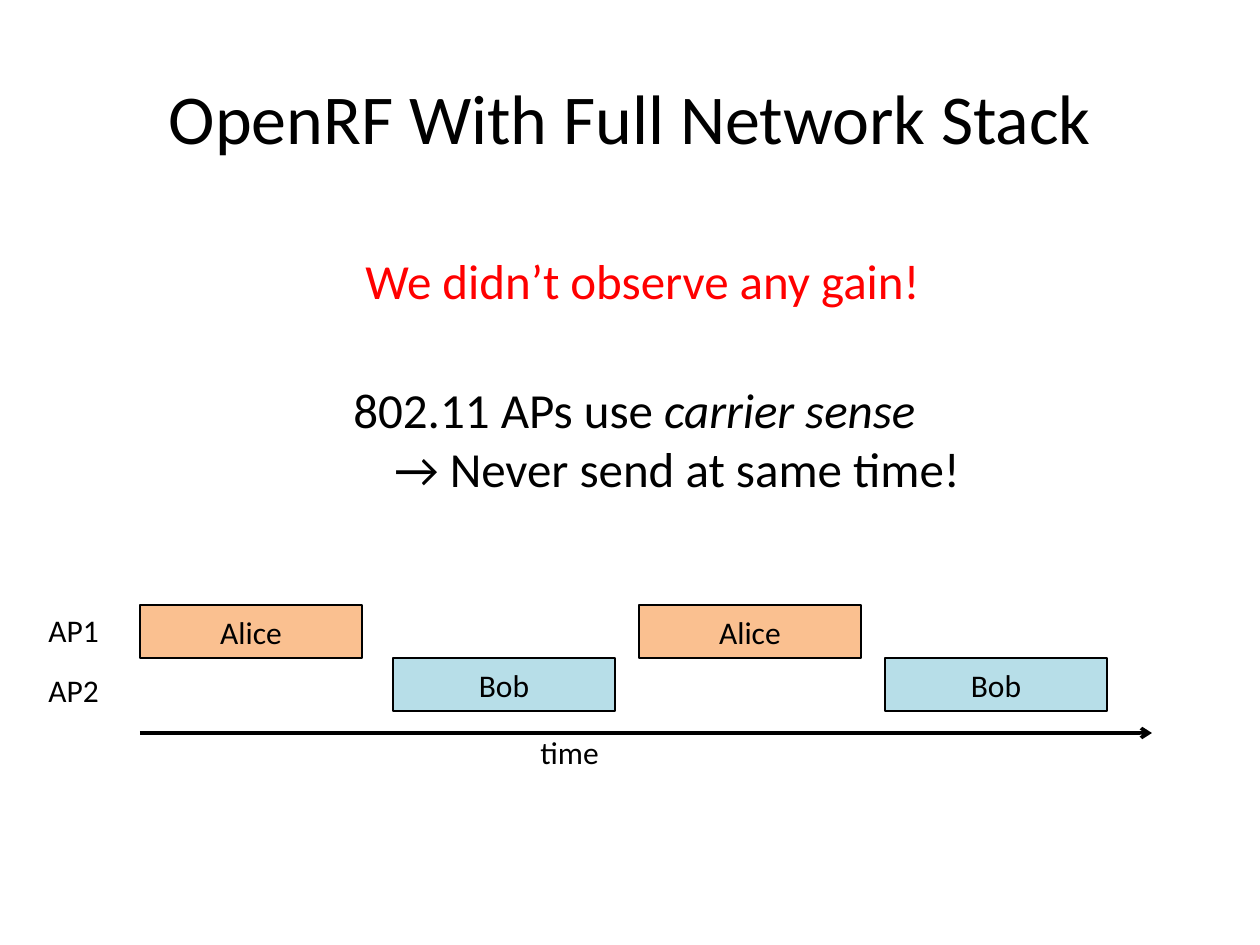
from dataclasses import dataclass

from pptx import Presentation
from pptx.dml.color import RGBColor
from pptx.enum.shapes import MSO_CONNECTOR, MSO_SHAPE
from pptx.enum.text import MSO_ANCHOR, PP_ALIGN
from pptx.oxml.ns import qn
from pptx.util import Emu, Pt
from lxml import etree

RECTANGLE = MSO_SHAPE.RECTANGLE
STRAIGHT = MSO_CONNECTOR.STRAIGHT
MIDDLE = MSO_ANCHOR.MIDDLE
CENTER, LEFT = PP_ALIGN.CENTER, PP_ALIGN.LEFT

PX_PER_INCH = 126
FONT = "Calibri"
COLORS = {"black": "000000", "red": "FF0000", "alice": "FAC090", "bob": "B7DEE8"}

BAR_WIDTH, BAR_HEIGHT = 222, 53
AP1_TOP = 605
AP2_TOP = AP1_TOP + BAR_HEIGHT
AXIS_LEFT, AXIS_RIGHT, AXIS_Y = 140, 1152, 733


@dataclass(frozen=True)
class Run:
    text: str
    size: int = 18
    color: str = "black"
    italic: bool = False


@dataclass(frozen=True)
class Line:
    runs: tuple[Run, ...]
    indent: int = 0


@dataclass(frozen=True)
class TextBox:
    left: int
    top: int
    width: int
    height: int
    lines: tuple[Line, ...]
    wrap: bool = True


@dataclass(frozen=True)
class Transmission:
    receiver: str
    left: int
    top: int
    fill: str


TEXT_BOXES = (
    TextBox(319, 373, 765, 131, (
        Line((Run("802.11 APs use ", 28), Run("carrier sense", 28, italic=True)), 22),
        Line((Run("→ Never send at same time!", 28),), 63),
    )),
    TextBox(353, 244, 753, 72, (Line((Run("We didn’t observe any gain!", 28, "red"),)),)),
    TextBox(528, 727, 84, 50, (Line((Run("time"),)),), wrap=False),
    TextBox(36, 605, 77, 50, (Line((Run("AP1"),)),), wrap=False),
    TextBox(36, 665, 77, 50, (Line((Run("AP2"),)),), wrap=False),
)

TRANSMISSIONS = (
    Transmission("Alice", 140, AP1_TOP, "alice"),
    Transmission("Bob", 393, AP2_TOP, "bob"),
    Transmission("Alice", 639, AP1_TOP, "alice"),
    Transmission("Bob", 885, AP2_TOP, "bob"),
)


def px(value: int) -> Emu:
    return Emu(round(value * 914400 / PX_PER_INCH))


def rgb(name: str) -> RGBColor:
    return RGBColor.from_string(COLORS[name])


def add_run(paragraph, run: Run) -> None:
    text_run = paragraph.add_run()
    text_run.text = run.text
    font = text_run.font
    font.name, font.size, font.italic = FONT, Pt(run.size), run.italic
    font.color.rgb = rgb(run.color)


def fill_text(text_frame, lines: tuple[Line, ...], alignment) -> None:
    for index, line in enumerate(lines):
        paragraph = text_frame.paragraphs[0] if index == 0 else text_frame.add_paragraph()
        paragraph.alignment = alignment
        if line.indent:
            properties = paragraph._p.get_or_add_pPr()
            properties.set("marL", str(px(line.indent)))
            properties.set("indent", "0")
        for run in line.runs:
            add_run(paragraph, run)


def add_title(slide, text: str) -> None:
    title = slide.shapes.title
    title.left, title.top, title.width, title.height = map(px, (63, 38, 1134, 157))
    title.text_frame.vertical_anchor = MIDDLE
    fill_text(title.text_frame, (Line((Run(text, 40),)),), CENTER)


def add_text_box(slide, box: TextBox) -> None:
    shape = slide.shapes.add_textbox(*map(px, (box.left, box.top, box.width, box.height)))
    shape.text_frame.word_wrap = box.wrap
    fill_text(shape.text_frame, box.lines, LEFT)


def add_transmission(slide, item: Transmission) -> None:
    shape = slide.shapes.add_shape(
        RECTANGLE, *map(px, (item.left, item.top, BAR_WIDTH, BAR_HEIGHT)))
    shape.shadow.inherit = False
    shape.fill.solid()
    shape.fill.fore_color.rgb = rgb(item.fill)
    shape.line.color.rgb = rgb("black")
    shape.line.width = Pt(1.5)
    shape.text_frame.vertical_anchor = MIDDLE
    fill_text(shape.text_frame, (Line((Run(item.receiver),)),), CENTER)


def add_time_axis(slide) -> None:
    axis = slide.shapes.add_connector(
        STRAIGHT, *map(px, (AXIS_LEFT, AXIS_Y, AXIS_RIGHT, AXIS_Y)))
    axis.line.color.rgb = rgb("black")
    axis.line.width = Pt(2)
    etree.SubElement(axis.line._get_or_add_ln(), qn("a:tailEnd"), type="arrow")
    etree.SubElement(axis._element.spPr, qn("a:effectLst"))


def main() -> None:
    presentation = Presentation()
    presentation.slide_width, presentation.slide_height = px(1260), px(945)
    slide = presentation.slides.add_slide(presentation.slide_layouts[5])

    # Title and statements
    add_title(slide, "OpenRF With Full Network Stack")
    for box in TEXT_BOXES:
        add_text_box(slide, box)

    # Timeline of alternating transmissions
    for item in TRANSMISSIONS:
        add_transmission(slide, item)
    add_time_axis(slide)

    presentation.save("out.pptx")


if __name__ == "__main__":
    main()
